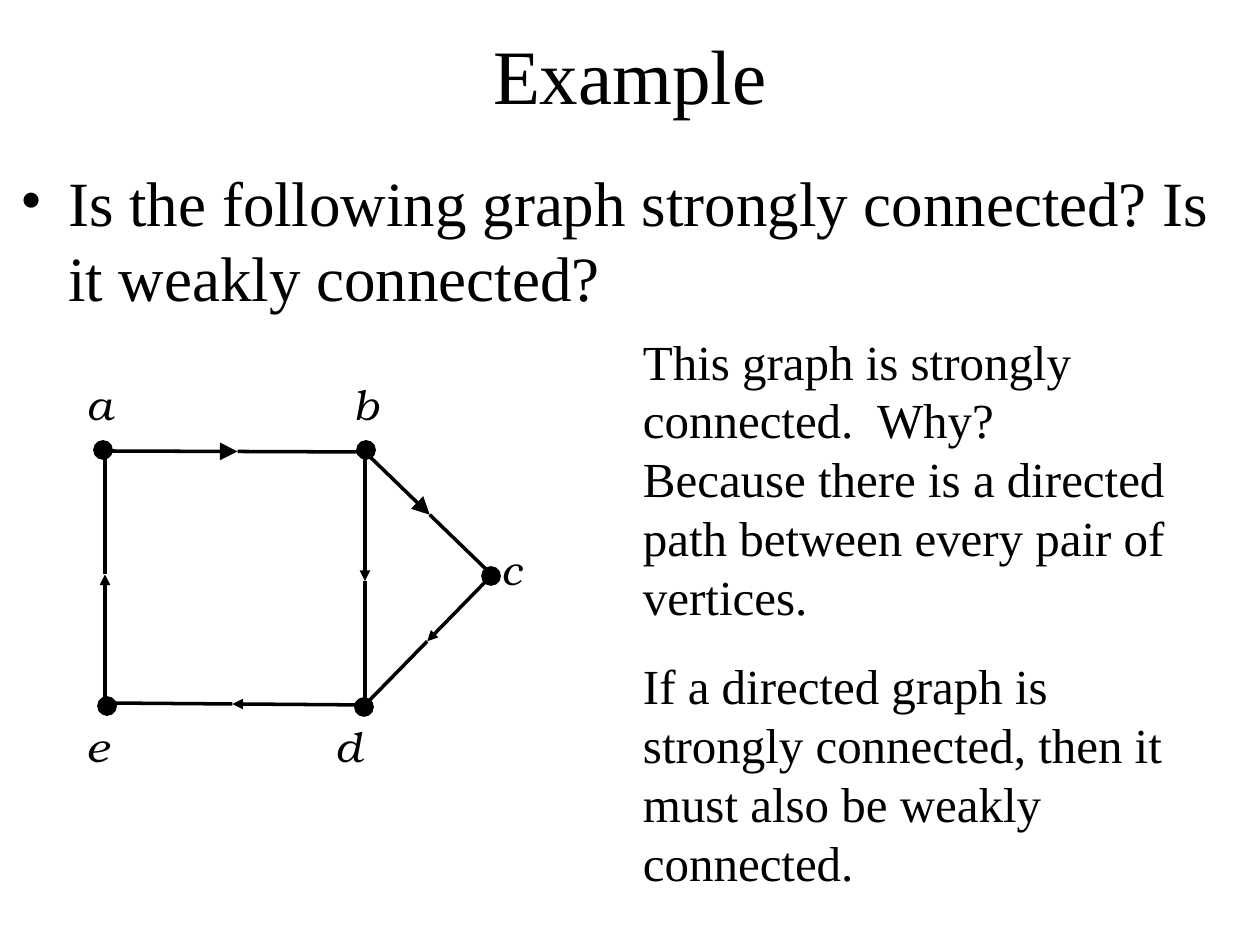
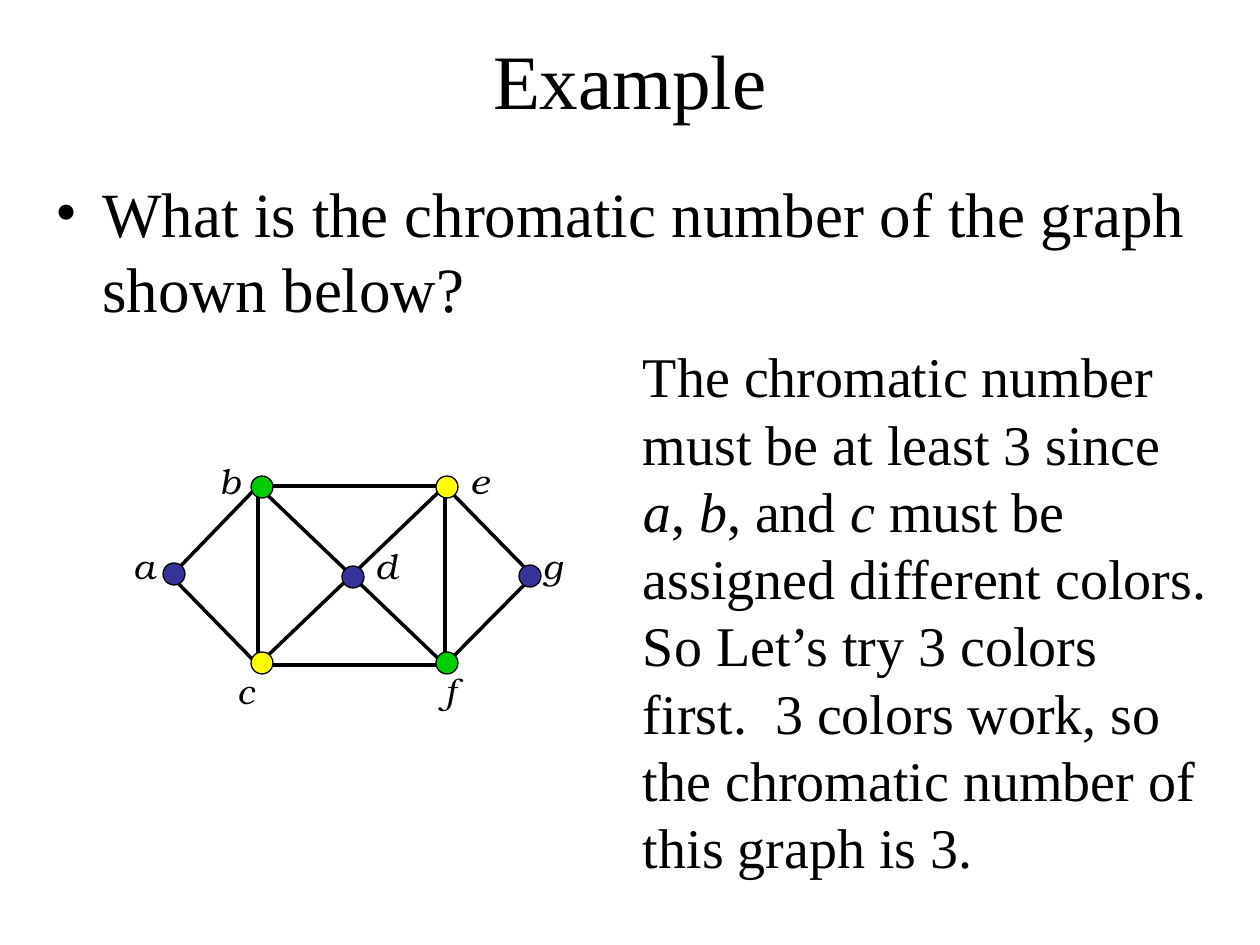
"""Builds two example slides on graph connectivity and graph colouring."""
from lxml.etree import SubElement
from pptx import Presentation
from pptx.dml.color import RGBColor
from pptx.enum.shapes import MSO_CONNECTOR, MSO_SHAPE
from pptx.enum.text import MSO_ANCHOR, MSO_AUTO_SIZE, PP_ALIGN
from pptx.oxml.ns import qn
from pptx.util import Emu, Pt

SCALE = 914400 / 126
BLACK, BLUE, YELLOW, GREEN = "000000", "333399", "FFFF00", "00CC00"
TEXT_FONT, LABEL_FONT = "Times New Roman", "TeX Gyre Bonum"
TITLE_SIZE, QUESTION_SIZE = 44, 36
EDGE_WIDTH = 2
TIP_POSITION = 0.51
LABEL_WIDTH = 42
BREAK = "\n"

CONNECTIVITY = {
    "title": ("Example", (63, 21, 1134, 105)),
    "question": ("Is the following graph strongly connected? Is it weakly connected?",
                 (21, 157, 1219, 168), 0),
    "answer": {
        "box": (630, 325, 599, 573), "size": 28, "gap": 17.5,
        "paragraphs": [
            [("This graph is strongly connected.  Why?", False), (BREAK, False),
             ("Because there is a directed path between every pair of vertices.", False)],
            [("If a directed graph is strongly connected, then it must also be weakly "
              "connected.", False)],
        ],
    },
    "graph": {
        "joints": {"a": (105, 451), "b": (365, 452), "c": (492, 575),
                   "d": (365, 705), "e": (105, 703)},
        "edges": [("a", "b", "lg"), ("b", "c", "lg"), ("b", "d", "med"),
                  ("c", "d", "med"), ("d", "e", "med"), ("e", "a", "med")],
        "vertices": {"a": (103, 450, BLACK), "b": (366, 450, BLACK), "c": (491, 576, BLACK),
                     "d": (364, 707, BLACK), "e": (107, 706, BLACK)},
        "diameter": 18, "outline": 1, "label_size": 24,
        "labels": {"a": (86, 421), "b": (354, 421), "c": (501, 586),
                   "d": (336, 763), "e": (86, 763)},
    },
}

COLOURING = {
    "title": ("Example", (63, 21, 1134, 116)),
    "question": ("What is the chromatic number of the graph shown below?",
                 (42, 168, 1166, 210), 13),
    "answer": {
        "box": (630, 336, 599, 551), "size": 32, "gap": 0,
        "paragraphs": [
            [("The chromatic number must be at least 3 since ", False), ("a", True),
             (", ", False), ("b", True), (", and ", False), ("c", True),
             (" must be assigned different colors. So Let’s try 3 colors first.  "
              "3 colors work, so the chromatic number of this graph is 3.", False)],
        ],
    },
    "graph": {
        "joints": {"a": (171, 576), "b": (258, 486), "c": (258, 665),
                   "e": (445, 486), "f": (445, 665), "g": (533, 576)},
        "edges": [(start, end, None) for start, end in
                  ("be", "bc", "cf", "ef", "bf", "ce", "ba", "ac", "eg", "fg")],
        "vertices": {"a": (174, 574, BLUE), "b": (262, 487, GREEN), "c": (262, 663, YELLOW),
                     "d": (353, 577, BLUE), "e": (447, 487, YELLOW), "f": (447, 663, GREEN),
                     "g": (530, 576, BLUE)},
        "diameter": 22, "outline": 0.75, "label_size": 20,
        "labels": {"a": (133, 579), "b": (219, 494), "c": (237, 704), "d": (375, 579),
                   "e": (470, 494), "f": (444, 704), "g": (543, 579)},
    },
}


def px(length):
    return Emu(round(length * SCALE))


def colour(value):
    return RGBColor.from_string(value)


def place(shape, box):
    shape.left, shape.top, shape.width, shape.height = map(px, box)


def set_frame(frame, side=13, edge=6):
    frame.word_wrap = True
    frame.auto_size = MSO_AUTO_SIZE.NONE
    frame.margin_left = frame.margin_right = px(side)
    frame.margin_top = frame.margin_bottom = px(edge)


def add_span(para, text, size, font=TEXT_FONT, italic=False):
    span = para.add_run()
    span.text = text
    span.font.size, span.font.name = Pt(size), font
    span.font.italic = italic
    span.font.color.rgb = colour(BLACK)


def add_bullet(para):
    properties = para._p.get_or_add_pPr()
    tint = SubElement(properties, qn("a:buClr"))
    SubElement(tint, qn("a:srgbClr"), val=BLACK)
    SubElement(properties, qn("a:buFont"), typeface=TEXT_FONT)
    SubElement(properties, qn("a:buChar"), char="•")


def add_title(page, text, box):
    title = page.shapes.title
    place(title, box)
    set_frame(title.text_frame)
    title.text_frame.vertical_anchor = MSO_ANCHOR.MIDDLE
    para = title.text_frame.paragraphs[0]
    para.alignment = PP_ALIGN.CENTER
    add_span(para, text, TITLE_SIZE)


def add_question(page, text, box, side):
    body = page.placeholders[1]
    place(body, box)
    set_frame(body.text_frame, side)
    para = body.text_frame.paragraphs[0]
    add_bullet(para)
    para.space_before = Pt(0)
    add_span(para, text, QUESTION_SIZE)


def add_answer(page, answer):
    frame = page.shapes.add_textbox(*map(px, answer["box"])).text_frame
    set_frame(frame)
    for index, spans in enumerate(answer["paragraphs"]):
        para = frame.add_paragraph() if index else frame.paragraphs[0]
        if index:
            para.space_before = Pt(answer["gap"])
        for text, italic in spans:
            if text == BREAK:
                para.add_line_break()
            else:
                add_span(para, text, answer["size"], italic=italic)


def add_line(page, start, end, arrow=None):
    line = page.shapes.add_connector(MSO_CONNECTOR.STRAIGHT, *map(px, (*start, *end)))
    line.line.width = Pt(EDGE_WIDTH)
    line.line.color.rgb = colour(BLACK)
    if arrow:
        SubElement(line.line._get_or_add_ln(), qn("a:tailEnd"),
                   type="triangle", w=arrow, len=arrow)
    SubElement(line._element.spPr, qn("a:effectLst"))


def add_edge(page, start, end, arrow):
    if not arrow:
        add_line(page, start, end)
        return
    tip = tuple(a + (b - a) * TIP_POSITION for a, b in zip(start, end))
    add_line(page, start, tip, arrow)
    add_line(page, tip, end)


def add_vertex(page, x, y, fill, diameter, outline):
    corner = (x - diameter / 2, y - diameter / 2)
    dot = page.shapes.add_shape(MSO_SHAPE.OVAL, *map(px, (*corner, diameter, diameter)))
    dot.shadow.inherit = False
    dot.fill.solid()
    dot.fill.fore_color.rgb = colour(fill)
    dot.line.color.rgb = colour(BLACK)
    dot.line.width = Pt(outline)


def add_label(page, name, left, baseline, size):
    em = size * 126 / 72
    box = page.shapes.add_textbox(*map(px, (left, baseline - em, LABEL_WIDTH, em * 1.2)))
    set_frame(box.text_frame, 0, 0)
    add_span(box.text_frame.paragraphs[0], name, size, LABEL_FONT, True)


def add_graph(page, graph):
    joints = graph["joints"]
    for start, end, arrow in graph["edges"]:
        add_edge(page, joints[start], joints[end], arrow)
    for vertex in graph["vertices"].values():
        add_vertex(page, *vertex, graph["diameter"], graph["outline"])
    for name, spot in graph["labels"].items():
        add_label(page, name, *spot, graph["label_size"])


def main():
    deck = Presentation()
    deck.slide_width, deck.slide_height = px(1260), px(945)
    for content in (CONNECTIVITY, COLOURING):
        page = deck.slides.add_slide(deck.slide_layouts[1])
        add_title(page, *content["title"])
        add_question(page, *content["question"])
        add_graph(page, content["graph"])
        add_answer(page, content["answer"])
    deck.save("out.pptx")


if __name__ == "__main__":
    main()
